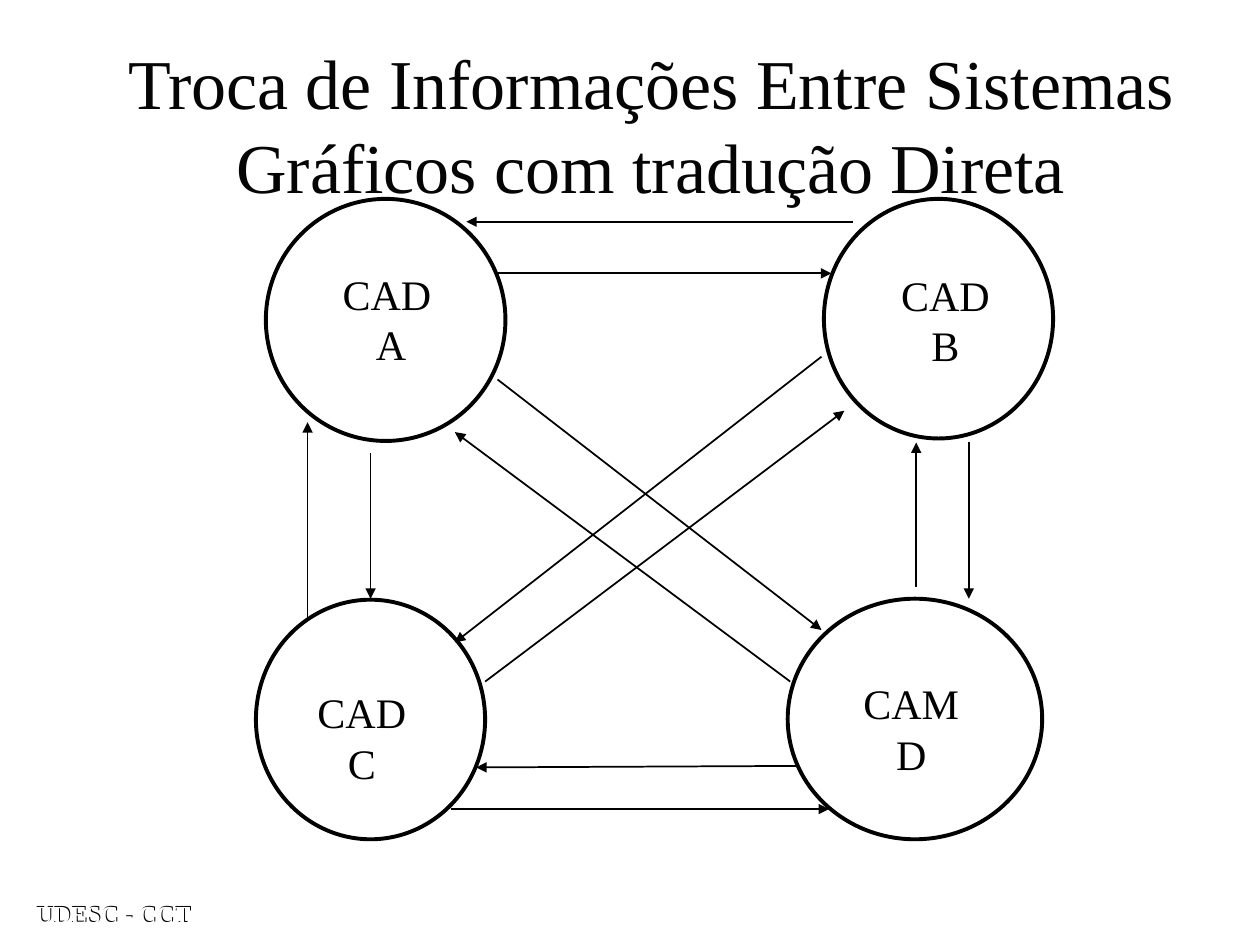
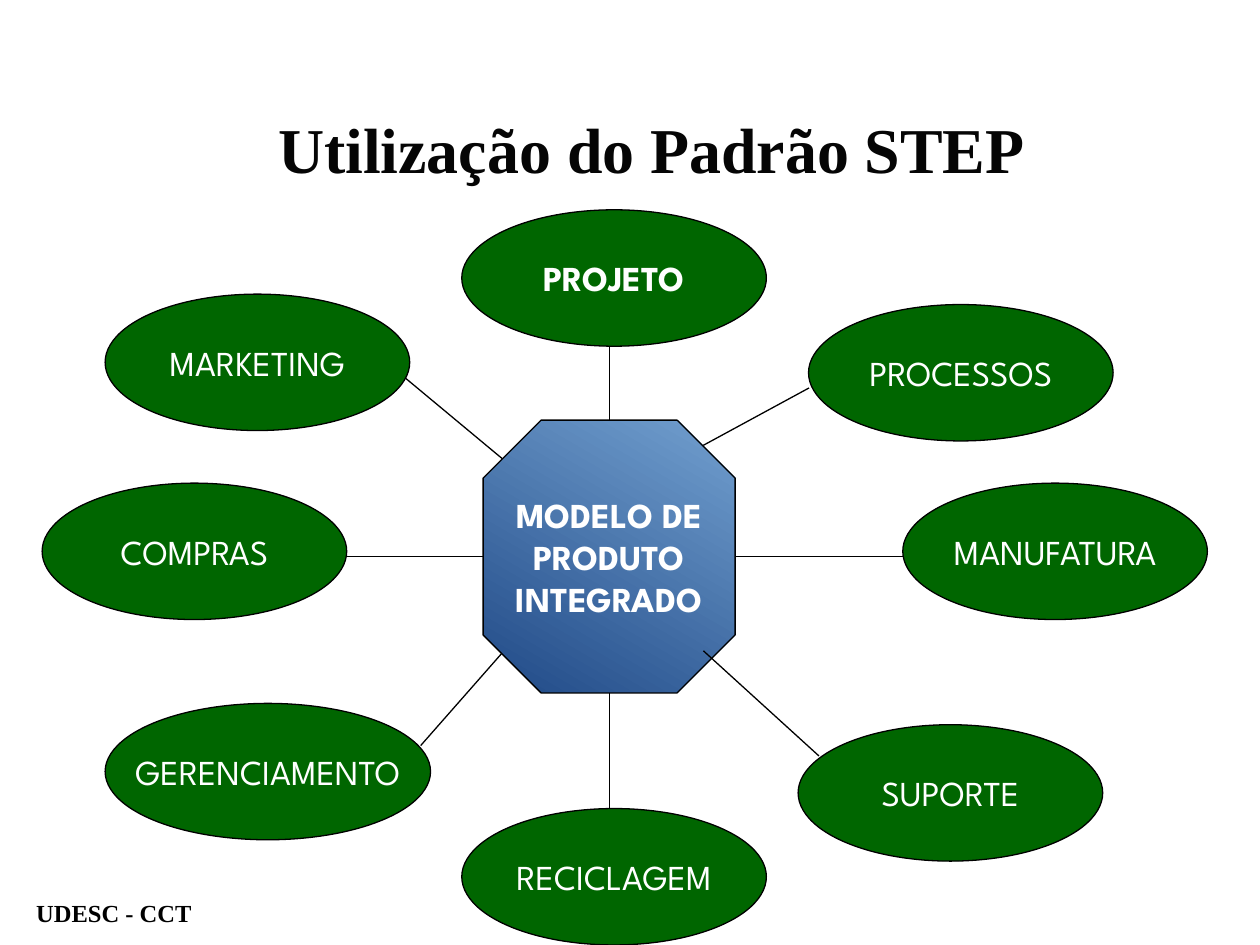
from lxml import etree
from pptx import Presentation
from pptx.dml.color import RGBColor
from pptx.enum.shapes import MSO_CONNECTOR, MSO_SHAPE
from pptx.enum.text import MSO_ANCHOR, MSO_AUTO_SIZE, PP_ALIGN
from pptx.oxml.ns import qn
from pptx.util import Cm, Pt

LINE = MSO_CONNECTOR.STRAIGHT
OVAL, OCTAGON = MSO_SHAPE.OVAL, MSO_SHAPE.OCTAGON
TOP, MIDDLE = MSO_ANCHOR.TOP, MSO_ANCHOR.MIDDLE
LEFT, CENTER = PP_ALIGN.LEFT, PP_ALIGN.CENTER
FIXED = MSO_AUTO_SIZE.NONE

COLORS = {"ink": "000000", "title": "050505", "white": "FFFFFF",
          "green": "006600", "deep": "204A87", "sky": "729FCF"}
SERIF, SANS = "Times New Roman", "League Spartan"
FOOTER = "UDESC - CCT"

EXCHANGE = "Troca de Informações Entre Sistemas Gráficos com tradução Direta"
SYSTEMS = [
    (["CAD", " A"], (5.36, 4.01, 4.83, 4.88), (6.15, 5.28, 3.3, 2.11)),
    (["CAD", "B"], (16.61, 4.01, 4.62, 4.83), (17.6, 5.31, 2.92, 2.11)),
    (["CAD", "C"], (5.16, 12.09, 4.62, 4.83), (6.15, 13.72, 2.29, 2.11)),
    (["CAM", "D"], (15.88, 12.07, 5.13, 4.85), (17.15, 13.54, 2.44, 2.11)),
]
ARROWS = [
    (15.93, 13.74, 9.17, 8.71), (10.03, 7.65, 16.56, 12.7),
    (16.56, 7.19, 9.17, 12.95), (9.78, 13.74, 17.02, 8.28),
    (17.2, 4.47, 9.4, 4.47), (10.03, 5.51, 16.76, 5.51),
    (6.2, 12.47, 6.2, 8.51), (7.47, 9.14, 7.47, 12.07),
    (9.09, 16.31, 16.71, 16.31), (16.08, 15.44, 9.6, 15.47),
    (18.47, 11.84, 18.47, 8.92), (19.53, 8.92, 19.53, 12.07),
]

STEP = "Utilização do Padrão STEP"
MODEL = ["MODELO DE", "PRODUTO", "INTEGRADO"]
HUB = (9.74, 8.47, 5.08, 5.5)
WIDTH, HEIGHT = 6.14, 2.75
AREAS = [
    ("MARKETING", 2.12, 5.93, WIDTH, False),
    ("PROJETO", 9.31, 4.23, WIDTH, True),
    ("PROCESSOS", 16.3, 6.14, WIDTH, False),
    ("COMPRAS", 0.85, 9.74, WIDTH, False),
    ("MANUFATURA", 18.2, 9.74, WIDTH, False),
    ("SUPORTE", 16.09, 14.61, WIDTH, False),
    ("GERENCIAMENTO", 2.12, 14.18, 6.56, False),
    ("RECICLAGEM", 9.31, 16.3, WIDTH, False),
]
BACK = [(10.16, 13.12, 8.48, 15.03), (10.31, 9.4, 8.05, 7.52),
        (13.97, 9.09, 16.31, 7.82)]
FRONT = [(6.99, 11.22, 9.74, 11.22), (12.28, 6.99, 12.28, 8.47),
         (14.82, 11.22, 18.2, 11.22), (12.28, 13.97, 12.28, 16.3),
         (14.18, 13.12, 16.51, 15.24)]


def rgb(name):
    return RGBColor.from_string(COLORS[name])


def cms(box):
    return [Cm(v) for v in box]


def write(frame, lines, size, color, font=SERIF, bold=False,
          align=CENTER, anchor=MIDDLE, wrap=False):
    frame.text = "\n".join(lines)
    frame.auto_size = FIXED
    frame.word_wrap = wrap
    frame.vertical_anchor = anchor
    for para in frame.paragraphs:
        para.alignment = align
        para.font.name = font
        para.font.size = Pt(size)
        para.font.bold = bold
        para.font.color.rgb = rgb(color)


def label(slide, box, lines, size, color, **style):
    write(slide.shapes.add_textbox(*cms(box)).text_frame,
          lines, size, color, **style)


def footer(slide, left, top, color):
    label(slide, (left, top, 3.63, 0.79), [FOOTER], 14, color,
          bold=True, align=LEFT)


def start(deck, title, box, size, bold=False):
    slide = deck.slides.add_slide(deck.slide_layouts[5])
    head = slide.shapes.title
    head.left, head.top, head.width, head.height = cms(box)
    write(head.text_frame, [title], size, "title", bold=bold, wrap=True)
    footer(slide, 0.48, 18.01, "ink")
    return slide


def shape(slide, kind, box, weight):
    item = slide.shapes.add_shape(kind, *cms(box))
    item.shadow.inherit = False
    item.line.color.rgb = rgb("ink")
    item.line.width = Pt(weight)
    return item


def link(slide, ends, weight, arrow=False):
    item = slide.shapes.add_connector(LINE, *cms(ends))
    item.line.color.rgb = rgb("ink")
    item.line.width = Pt(weight)
    props = item._element.spPr
    etree.SubElement(props, qn("a:effectLst"))
    if arrow:
        etree.SubElement(props.find(qn("a:ln")), qn("a:tailEnd"),
                         type="triangle")


def direct(deck):
    slide = start(deck, EXCHANGE, (1.91, 0.79, 22.43, 3.38), 40)
    for lines, ring, box in SYSTEMS:
        shape(slide, OVAL, ring, 2.25).fill.background()
        label(slide, box, lines, 24, "ink", anchor=TOP)
    for ends in ARROWS:
        link(slide, ends, 1, arrow=True)
    footer(slide, 0.46, 18.03, "white")


def product(deck):
    slide = start(deck, STEP, (2.34, 1.4, 21.59, 3.18), 36.5, bold=True)
    for ends in BACK:
        link(slide, ends, 0.75)
    hub = shape(slide, OCTAGON, HUB, 0.75)
    hub.adjustments[0] = 0.23
    hub.fill.gradient()
    hub.fill.gradient_angle = 60
    for stop, name in zip(hub.fill.gradient_stops, ("deep", "sky")):
        stop.color.rgb = rgb(name)
    write(hub.text_frame, MODEL, 20, "white", font=SANS, bold=True)
    for name, left, top, width, bold in AREAS:
        area = shape(slide, OVAL, (left, top, width, HEIGHT), 0.75)
        area.fill.solid()
        area.fill.fore_color.rgb = rgb("green")
        write(area.text_frame, [name], 20, "white", font=SANS, bold=bold)
    for ends in FRONT:
        link(slide, ends, 0.75)


def main():
    deck = Presentation()
    deck.slide_width, deck.slide_height = Cm(25.4), Cm(19.05)
    direct(deck)
    product(deck)
    deck.save("out.pptx")


if __name__ == "__main__":
    main()
